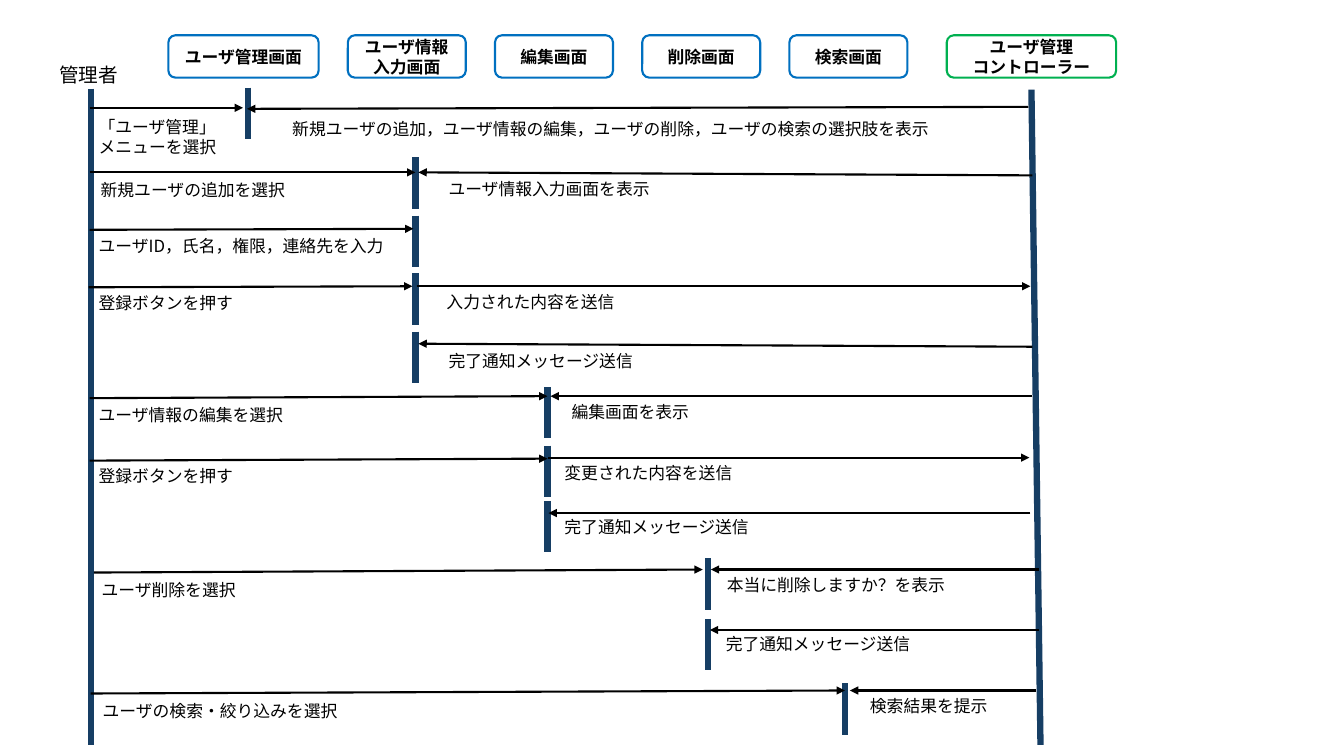
from typing import NamedTuple

from lxml.etree import SubElement
from pptx import Presentation
from pptx.dml.color import RGBColor
from pptx.enum.shapes import MSO_CONNECTOR, MSO_SHAPE
from pptx.enum.text import MSO_ANCHOR, PP_ALIGN
from pptx.oxml.ns import qn
from pptx.shapes.connector import Connector
from pptx.slide import Slide
from pptx.text.text import TextFrame
from pptx.util import Emu, Pt

EMU_PER_PX = 9144  # 100 px to the inch
FONT = "Noto Sans CJK JP"
BLACK = RGBColor(0x00, 0x00, 0x00)
WHITE = RGBColor(0xFF, 0xFF, 0xFF)
NAVY = RGBColor(0x16, 0x3E, 0x64)
BLUE = RGBColor(0x00, 0x70, 0xC0)
GREEN = RGBColor(0x00, 0xB0, 0x50)

HEADER_TOP, HEADER_HEIGHT = 35, 42
ACTIVATION_HEIGHT = 51
LIFELINE_END = 739


class Header(NamedTuple):
    text: str
    left: int
    width: int
    color: RGBColor = BLUE


class Line(NamedTuple):
    x1: int
    y1: int
    x2: int
    y2: int


class Label(NamedTuple):
    text: str
    left: int
    top: int
    width: int = 319
    height: int = 30
    size: int = 12


class Message(NamedTuple):
    arrow: Line
    label: Label


ACTOR = Label("管理者", 49, 58, 81, 34, 14)

HEADERS = [
    Header("ユーザ管理画面", 167, 149),
    Header("ユーザ情報\n入力画面", 345, 117),
    Header("編集画面", 491, 117),
    Header("削除画面", 637, 117),
    Header("検索画面", 783, 117),
    Header("ユーザ管理\nコントローラー", 939, 168, GREEN),
]

LIFELINES = [Line(90, 88, 90, LIFELINE_END), Line(1023, 89, 1032, LIFELINE_END)]

# Screen lifeline x -> tops of its activation bars
ACTIVATIONS = {
    246: [87],
    412: [156, 214, 271, 329],
    543: [384, 442, 497],
    702: [554, 614],
    838: [678],
}

MESSAGES = [
    Message(Line(89, 107, 241, 107), Label("「ユーザ管理」メニューを選択", 88, 111, 152, 50)),
    Message(Line(1020, 106, 245, 108),
            Label("新規ユーザの追加，ユーザ情報の編集，ユーザの削除，ユーザの検索の選択肢を表示",
                  280, 113, 702)),
    Message(Line(89, 171, 412, 171), Label("新規ユーザの追加を選択", 90, 173)),
    Message(Line(1024, 174, 415, 171), Label("ユーザ情報入力画面を表示", 435, 172)),
    Message(Line(89, 228, 410, 227), Label("ユーザID，氏名，権限，連絡先を入力", 88, 229)),
    Message(Line(88, 285, 409, 284), Label("登録ボタンを押す", 88, 286)),
    Message(Line(414, 284, 1022, 284), Label("入力された内容を送信", 433, 285)),
    Message(Line(1024, 344, 415, 341), Label("完了通知メッセージ送信", 435, 343)),
    Message(Line(89, 395, 543, 393), Label("ユーザ情報の編集を選択", 88, 397)),
    Message(Line(1024, 393, 546, 393), Label("編集画面を表示", 557, 394)),
    Message(Line(89, 457, 543, 455), Label("登録ボタンを押す", 88, 457)),
    Message(Line(544, 454, 1021, 454), Label("変更された内容を送信", 550, 454)),
    Message(Line(1022, 509, 544, 509), Label("完了通知メッセージ送信", 550, 508)),
    Message(Line(93, 568, 697, 565), Label("ユーザ削除を選択", 91, 570)),
    Message(Line(1030, 565, 705, 565), Label("本当に削除しますか？を表示", 711, 565)),
    Message(Line(1030, 625, 704, 625), Label("完了通知メッセージ送信", 710, 624)),
    Message(Line(90, 688, 838, 685), Label("ユーザの検索・絞り込みを選択", 92, 690)),
    Message(Line(1028, 685, 843, 685), Label("検索結果を提示", 853, 685)),
]


def px(length: int) -> Emu:
    return Emu(length * EMU_PER_PX)


def write_text(frame: TextFrame, text: str, size: int, bold: bool = False) -> None:
    """Fill the frame with one paragraph; a newline is a line break."""
    frame.word_wrap = True
    para = frame.paragraphs[0]
    para.text = text
    for span in para.runs:
        span.font.size = Pt(size)
        span.font.bold = bold
        span.font.name = FONT
        span.font.color.rgb = BLACK
        SubElement(span.font._element, qn("a:ea"), typeface=FONT)


def draw_header(slide: Slide, header: Header) -> None:
    box = slide.shapes.add_shape(
        MSO_SHAPE.FLOWCHART_ALTERNATE_PROCESS,
        px(header.left), px(HEADER_TOP), px(header.width), px(HEADER_HEIGHT))
    box.shadow.inherit = False
    box.fill.solid()
    box.fill.fore_color.rgb = WHITE
    box.line.color.rgb = header.color
    box.line.width = Pt(1.5)
    write_text(box.text_frame, header.text, 12, bold=True)
    box.text_frame.vertical_anchor = MSO_ANCHOR.MIDDLE
    box.text_frame.paragraphs[0].alignment = PP_ALIGN.CENTER


def draw_label(slide: Slide, label: Label) -> None:
    box = slide.shapes.add_textbox(
        px(label.left), px(label.top), px(label.width), px(label.height))
    write_text(box.text_frame, label.text, label.size)


def draw_line(slide: Slide, line: Line, color: RGBColor, weight: float) -> Connector:
    connector = slide.shapes.add_connector(
        MSO_CONNECTOR.STRAIGHT, px(line.x1), px(line.y1), px(line.x2), px(line.y2))
    connector.line.color.rgb = color
    connector.line.width = Pt(weight)
    SubElement(connector._element.spPr, qn("a:effectLst"))
    return connector


def draw_message(slide: Slide, message: Message) -> None:
    arrow = draw_line(slide, message.arrow, BLACK, 1.5)
    SubElement(arrow.line._get_or_add_ln(), qn("a:tailEnd"), type="triangle")
    draw_label(slide, message.label)


def main() -> None:
    deck = Presentation()
    deck.slide_width, deck.slide_height = px(1333), px(750)
    page = deck.slides.add_slide(deck.slide_layouts[6])

    draw_label(page, ACTOR)
    for header in HEADERS:
        draw_header(page, header)
    activations = [Line(x, top, x, top + ACTIVATION_HEIGHT)
                   for x, tops in ACTIVATIONS.items() for top in tops]
    for bar in LIFELINES + activations:
        draw_line(page, bar, NAVY, 4.5)
    for message in MESSAGES:
        draw_message(page, message)

    deck.save("out.pptx")


if __name__ == "__main__":
    main()
